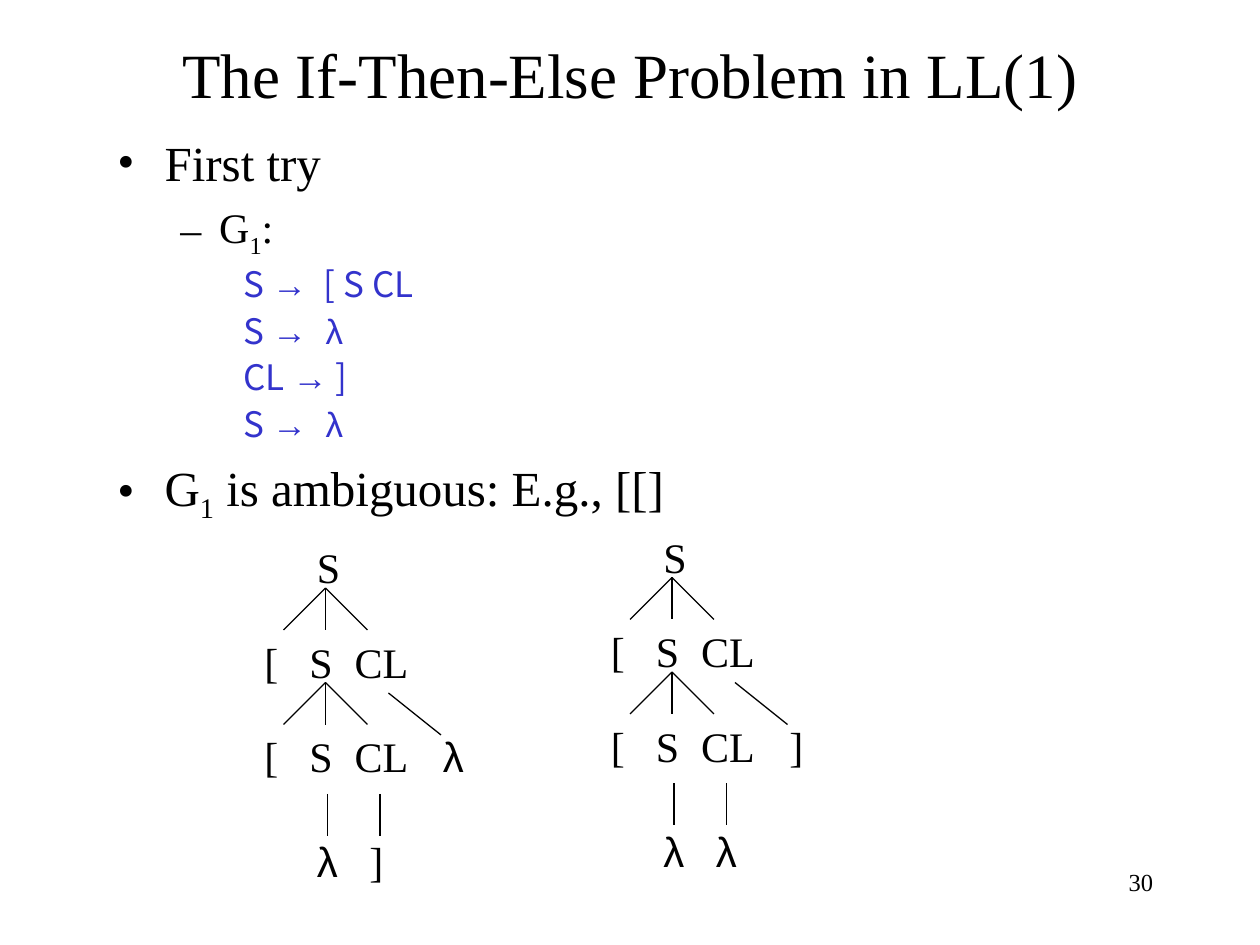
from dataclasses import dataclass

from lxml import etree
from pptx import Presentation
from pptx.dml.color import RGBColor
from pptx.enum.shapes import MSO_CONNECTOR
from pptx.enum.text import MSO_ANCHOR, MSO_AUTO_SIZE, PP_ALIGN
from pptx.oxml.ns import qn
from pptx.util import Pt

PX = 7620
STRAIGHT = MSO_CONNECTOR.STRAIGHT
MIDDLE = MSO_ANCHOR.MIDDLE
NO_FIT = MSO_AUTO_SIZE.NONE
LEFT, CENTER, RIGHT = PP_ALIGN.LEFT, PP_ALIGN.CENTER, PP_ALIGN.RIGHT


@dataclass(frozen=True)
class Theme:
    """Fonts, colours and type sizes of the slide."""
    serif: str = "Times New Roman"
    sans: str = "Arial"
    grammar: str = "Noto Sans CJK KR"
    ink: RGBColor = RGBColor(0x00, 0x00, 0x00)
    rule: RGBColor = RGBColor(0x33, 0x33, 0xCC)
    title: int = 36
    bullet: int = 28
    node: int = 24
    production: int = 20
    number: int = 14
    line: float = 0.75


THEME = Theme()


def add_run(paragraph, text, size, font=THEME.serif, color=THEME.ink):
    """Append one formatted run to a paragraph and return it."""
    run = paragraph.add_run()
    run.text = text
    run.font.name, run.font.size = font, Pt(size)
    run.font.color.rgb = color
    return run


def add_grammar_name(paragraph, size, tail):
    """Write G with its subscript 1, then the tail."""
    add_run(paragraph, "G", size)
    add_run(paragraph, "1", size).font._element.set("baseline", "-25000")
    add_run(paragraph, tail, size)


def format_paragraph(paragraph, margin, indent=0, bullet=None):
    """Set the indents and bullet character of a paragraph."""
    properties = paragraph._p.get_or_add_pPr()
    properties.set("marL", str(margin * PX))
    properties.set("indent", str(indent * PX))
    if bullet:
        etree.SubElement(properties, qn("a:buFont")).set("typeface", THEME.serif)
        etree.SubElement(properties, qn("a:buChar")).set("char", bullet)


def add_text_box(slide, left, top, width, height, wrap=True):
    """Add an empty text box and return its text frame."""
    shape = slide.shapes.add_textbox(left * PX, top * PX, width * PX, height * PX)
    shape.text_frame.word_wrap = wrap
    return shape.text_frame


def add_title(slide, left, top, width, height):
    """Place and fill the title placeholder."""
    shape = slide.shapes.title
    shape.left, shape.top = left * PX, top * PX
    shape.width, shape.height = width * PX, height * PX
    frame = shape.text_frame
    frame.auto_size, frame.vertical_anchor = NO_FIT, MIDDLE
    paragraph = frame.paragraphs[0]
    paragraph.alignment = CENTER
    add_run(paragraph, "The If-Then-Else Problem in LL(1)", THEME.title)


def add_production(frame, head, tail, tail_font, gap):
    """Write one production, with extra spacing in points after its arrow."""
    paragraph = frame.add_paragraph()
    paragraph.level, paragraph.space_before = 2, Pt(5)
    paragraph.line_spacing = 0.9
    format_paragraph(paragraph, 120)
    parts = ((head, THEME.grammar), ("→", THEME.sans), (" ", tail_font), (tail, tail_font))
    for text, font in parts:
        run = add_run(paragraph, text, THEME.production, font, THEME.rule)
        if text == " " and gap:
            run.font._element.set("spc", str(gap * 100))


def add_body(slide, left, top, width, height):
    """Write the bullets and the productions of the grammar."""
    frame = add_text_box(slide, left, top, width, height)

    first = frame.paragraphs[0]
    format_paragraph(first, 45, -45, "•")
    add_run(first, "First try", THEME.bullet)

    grammar = frame.add_paragraph()
    grammar.level, grammar.space_before = 1, Pt(6)
    format_paragraph(grammar, 97, -37, "–")
    add_grammar_name(grammar, THEME.node, ":")

    add_production(frame, "S ", "[ S CL", THEME.grammar, 5)
    add_production(frame, "S ", "λ", THEME.sans, 5)
    add_production(frame, "CL ", "]", THEME.grammar, 0)
    add_production(frame, "S ", "λ", THEME.sans, 5)

    ambiguous = frame.add_paragraph()
    ambiguous.space_before = Pt(7)
    format_paragraph(ambiguous, 45, -45, "•")
    add_grammar_name(ambiguous, THEME.bullet, " is ambiguous: E.g., [[]")


def add_node(slide, left, top, text):
    """Write one tree label."""
    width = 46 if len(text) == 1 else 76
    paragraph = add_text_box(slide, left, top, width, 60, wrap=False).paragraphs[0]
    paragraph.alignment = LEFT
    add_run(paragraph, text, THEME.node, THEME.sans if text == "λ" else THEME.serif)


def add_branch(slide, start_x, start_y, end_x, end_y):
    """Draw one branch of a tree."""
    line = slide.shapes.add_connector(
        STRAIGHT, start_x * PX, start_y * PX, end_x * PX, end_y * PX)
    line.line.color.rgb, line.line.width = THEME.ink, Pt(THEME.line)
    etree.SubElement(line._element.spPr, qn("a:effectLst"))


def add_tree(slide, left, top, inner_close, outer_close):
    """Draw a parse tree of [[] with the given leaves below its two CL nodes."""
    add_node(slide, left + 50, top, "S")
    for level in (0, 90):
        apex_x, apex_y = left + 70, top + level + 50
        for column, label in enumerate(("[", "S", "CL")):
            add_node(slide, left + 43 * column, top + level + 90, label)
            add_branch(slide, apex_x, apex_y, apex_x + 40 * (column - 1), apex_y + 40)
    for column, leaf in ((50, "λ"), (100, inner_close)):
        stem = left + column + 22
        add_branch(slide, stem, top + 246, stem, top + 286)
        add_node(slide, left + column, top + 280, leaf)
    add_branch(slide, left + 130, top + 150, left + 180, top + 190)
    add_node(slide, left + 170, top + 180, outer_close)


def add_slide_number(slide, left, top, width, height):
    """Write the slide number at the right of its box."""
    paragraph = add_text_box(slide, left, top, width, height).paragraphs[0]
    paragraph.alignment = RIGHT
    add_run(paragraph, "30", THEME.number)


def main():
    """Build and save the presentation."""
    presentation = Presentation()
    presentation.slide_width, presentation.slide_height = 1200 * PX, 900 * PX
    slide = presentation.slides.add_slide(presentation.slide_layouts[5])
    add_title(slide, 90, 20, 1020, 100)
    add_body(slide, 100, 120, 1020, 400)
    add_tree(slide, 240, 510, "]", "λ")
    add_tree(slide, 570, 500, "λ", "]")
    add_slide_number(slide, 860, 820, 250, 60)
    presentation.save("out.pptx")


if __name__ == "__main__":
    main()
